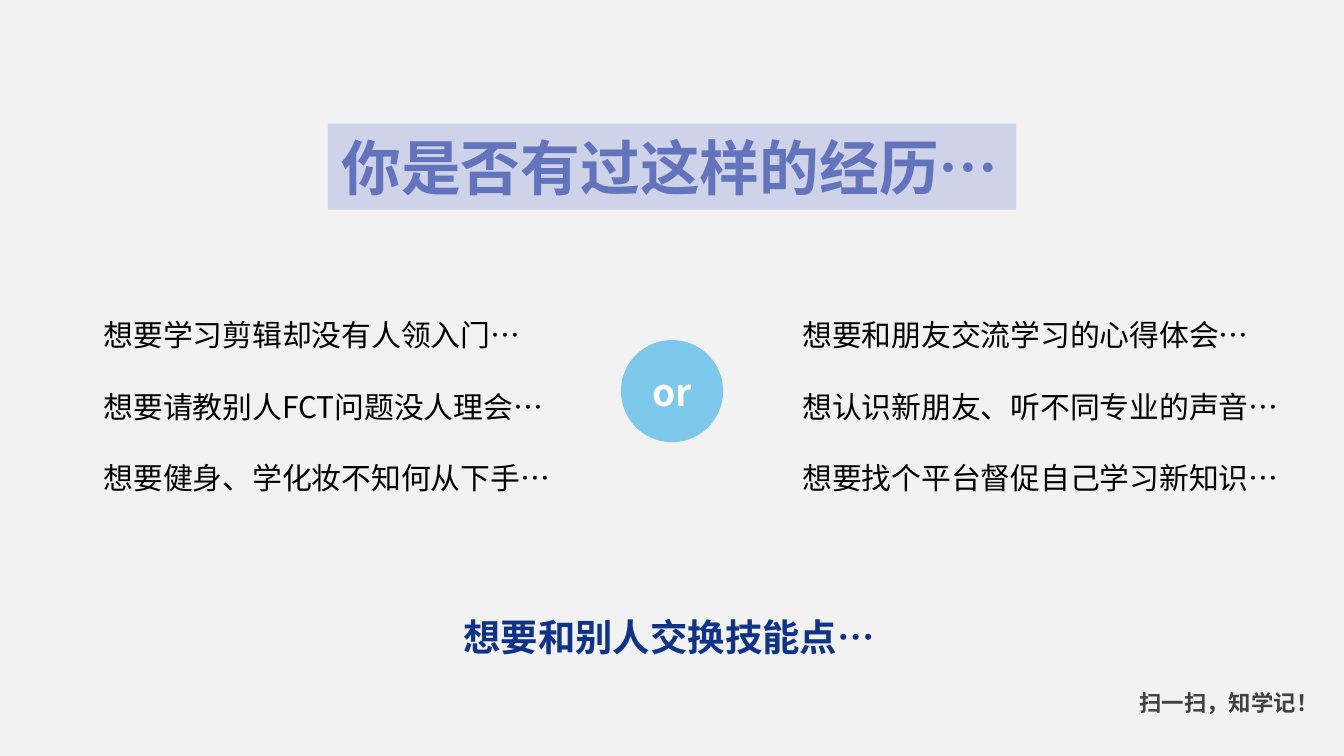
from lxml import etree
from pptx import Presentation
from pptx.dml.color import RGBColor
from pptx.enum import shapes, text
from pptx.oxml.ns import qn
from pptx.util import Inches, Pt

WIDE = 10
HIGH = WIDE * 9 / 16
FONT = "Noto Sans CJK SC"
INK = {"page": "F2F2F2", "band": "CED3EA", "title": "6374BD", "body": "000000",
       "disc": "7DC8EB", "white": "FFFFFF", "navy": "0F3387", "gray": "404040"}
LEFT = ["想要学习剪辑却没有人领入门…", "想要请教别人FCT问题没人理会…",
        "想要健身、学化妆不知何从下手…"]
RIGHT = ["想要和朋友交流学习的心得体会…", "想认识新朋友、听不同专业的声音…",
         "想要找个平台督促自己学习新知识…"]


def paint(fill, name):
    fill.solid()
    fill.fore_color.rgb = RGBColor.from_string(INK[name])


def place(shape, x, y, w, h):
    shape.left, shape.top = Inches(x), Inches(y)
    shape.width, shape.height = Inches(w), Inches(h)


def write(shape, lines, size, ink, bold=False, align=text.PP_ALIGN.LEFT,
          anchor=text.MSO_ANCHOR.TOP, space=1):
    """Fill a shape with plain paragraphs, without bullets."""
    frame = shape.text_frame
    frame.word_wrap = True
    frame.auto_size = text.MSO_AUTO_SIZE.NONE
    frame.vertical_anchor = anchor
    for i, line in enumerate(lines):
        para = frame.paragraphs[0] if i == 0 else frame.add_paragraph()
        props = para._p.get_or_add_pPr()
        props.set("marL", "0")
        props.set("indent", "0")
        etree.SubElement(props, qn("a:buNone"))
        para.alignment = align
        para.line_spacing = space
        para.space_before = Pt(0)
        run = para.add_run()
        run.text = line
        font = run.font
        font.name, font.size, font.bold = FONT, Pt(size), bold
        font.color.rgb = RGBColor.from_string(INK[ink])
        east = etree.SubElement(run._r.get_or_add_rPr(), qn("a:ea"))
        east.set("typeface", FONT)


def label(slide, line, box, size, ink):
    shape = slide.shapes.add_textbox(0, 0, 0, 0)
    place(shape, *box)
    write(shape, [line], size, ink, True)


def disc(slide, word, x, y, size):
    """Draw a round badge centred on x, y."""
    shape = slide.shapes.add_shape(shapes.MSO_SHAPE.OVAL, 0, 0, 0, 0)
    place(shape, x - size / 2, y - size / 2, size, size)
    shape.shadow.inherit = False
    paint(shape.fill, "disc")
    paint(shape.line.fill, "disc")
    shape.line.width = Pt(0.75)
    write(shape, [word], 20, "white", True, text.PP_ALIGN.CENTER,
          text.MSO_ANCHOR.MIDDLE)


def main():
    deck = Presentation()
    deck.slide_width, deck.slide_height = Inches(WIDE), Inches(HIGH)
    slide = deck.slides.add_slide(deck.slide_layouts[3])
    paint(slide.background.fill, "page")

    title, left, right = slide.placeholders
    band = 5.12
    place(title, (WIDE - band) / 2, 0.92, band, 0.64)
    paint(title.fill, "band")
    write(title, ["你是否有过这样的经历…"], 32, "title", True)

    place(left, 0.67, 2.04, 4.17, 2.03)
    place(right, 5.87, 2.04, 4.13, 1.64)
    for body, lines in ((left, LEFT), (right, RIGHT)):
        write(body, lines, 16, "body", space=2)

    disc(slide, "or", WIDE / 2, 2.91, 0.75)
    label(slide, "想要和别人交换技能点…", (3.35, 4.52, 3.7, 0.44), 20, "navy")
    label(slide, "扫一扫，知学记！", (8.38, 5.08, 1.62, 0.3), 12, "gray")
    deck.save("out.pptx")


if __name__ == "__main__":
    main()
